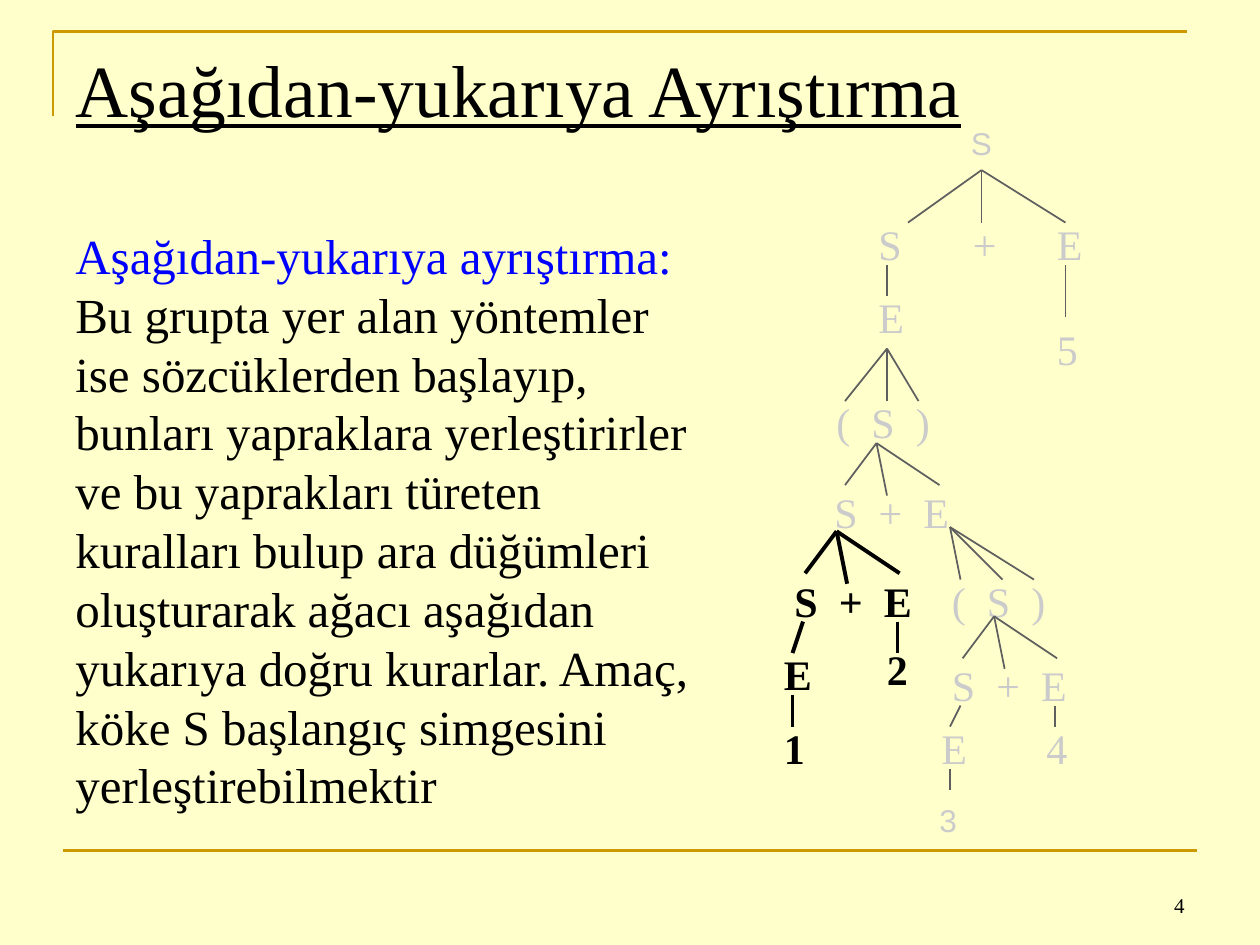
from lxml import etree
from pptx import Presentation
from pptx.dml.color import RGBColor
from pptx.enum.shapes import MSO_CONNECTOR
from pptx.enum.text import MSO_ANCHOR, MSO_AUTO_SIZE, PP_ALIGN
from pptx.oxml.ns import qn
from pptx.util import Inches, Pt

STRAIGHT = MSO_CONNECTOR.STRAIGHT
TOP, BOTTOM = MSO_ANCHOR.TOP, MSO_ANCHOR.BOTTOM
LEFT, RIGHT = PP_ALIGN.LEFT, PP_ALIGN.RIGHT
SERIF, SANS = "Times New Roman", "Arial"

COLOURS = {"paper": "FFFFCC", "rule": "CC9900", "ink": "000000",
           "term": "0000FF", "faded": "CBCBCB", "branch": "5F5F5F"}

TITLE = "Aşağıdan-yukarıya Ayrıştırma"
TERM = "Aşağıdan-yukarıya ayrıştırma: "
DEFINITION = (
    "Bu grupta yer alan yöntemler ise sözcüklerden başlayıp, bunları "
    "yapraklara yerleştirirler ve bu yaprakları türeten kuralları bulup ara "
    "düğümleri oluşturarak ağacı aşağıdan yukarıya doğru kurarlar. Amaç, köke "
    "S başlangıç simgesini yerleştirebilmektir")
PAGE = "4"

# The parse tree lies on a grid of twelfths of an inch.
CELL = 1 / 12
TREE_LEFT, TREE_TOP = 6.29, 1.35
WIDTHS = {"S": 0.38, "+": 0.39, "E": 0.42, "( S )": 0.94, "S + E": 1.15}
DIGIT_WIDTH = 0.36
WORD_GAP = 6  # extra points after each space in a node

# Nodes: text, column, row
ENDS = [("S", 15.8, -5), ("3", 12.8, 59.5)]
FADED_NODES = [
    ("S", 7, 4), ("+", 16, 4), ("E", 24, 4), ("E", 7, 11), ("5", 24, 14),
    ("( S )", 3, 21), ("S + E", 2.8, 29.5), ("( S )", 14, 38),
    ("S + E", 14, 46), ("E", 13, 52), ("4", 23, 52)]
BUILT_NODES = [("S + E", -1, 38), ("2", 7.8, 44.5), ("E", -2, 45), ("1", -2, 52)]

# Branches: start column, start row, steps to each child
SUM = [(-3, 4), (1, 5), (6, 4)]
FADED_BRANCHES = [
    (18, 0, [(-7, 5), (0, 5), (8, 5)]), (9, 9, [(0, 3)]), (26, 9, [(0, 5)]),
    (9, 17, [(-4, 5), (0, 5), (3, 5)]), (8, 26, SUM),
    (15, 34, [(1, 5), (5, 5), (8, 5)]), (19.2, 42.5, SUM),
    (16, 51, [(-1, 2)]), (25, 51, [(0, 2)]), (15, 57, [(0, 2)])]
BUILT_BRANCHES = [(4.2, 34.4, SUM), (1, 43, [(-1, 3)]), (10, 43, [(0, 3)]),
                  (0, 50, [(0, 3)])]


def colour(name):
    return RGBColor.from_string(COLOURS[name])


def add_run(paragraph, text, size, ink="ink", face=SERIF, bold=False):
    run = paragraph.add_run()
    run.text = text
    run.font.size, run.font.name, run.font.bold = Pt(size), face, bold
    run.font.color.rgb = colour(ink)
    return run


def add_box(slide, left, top, width, height, wrap=True):
    box = slide.shapes.add_textbox(*map(Inches, (left, top, width, height)))
    box.text_frame.word_wrap = wrap
    return box.text_frame


def add_line(slide, start, end, ink, weight):
    line = slide.shapes.add_connector(STRAIGHT, *map(Inches, (*start, *end)))
    line.line.color.rgb = colour(ink)
    line.line.width = Pt(weight)
    etree.SubElement(line._element.spPr, qn("a:effectLst"))


def grid(column, row):
    return TREE_LEFT + column * CELL, TREE_TOP + row * CELL


def add_nodes(slide, nodes, ink, size=24, face=SERIF, bold=False):
    for text, column, row in nodes:
        frame = add_box(slide, *grid(column, row),
                        WIDTHS.get(text, DIGIT_WIDTH), size / 60 + 0.1, wrap=False)
        frame.auto_size = MSO_AUTO_SIZE.SHAPE_TO_FIT_TEXT
        for index, symbol in enumerate(text.split()):
            if index:
                space = add_run(frame.paragraphs[0], " ", size, ink, face, bold)
                space.font._element.set("spc", str(WORD_GAP * 100))
            add_run(frame.paragraphs[0], symbol, size, ink, face, bold)


def add_branches(slide, branches, ink, weight):
    for column, row, steps in branches:
        for across, down in steps:
            add_line(slide, grid(column, row), grid(column + across, row + down),
                     ink, weight)


def add_frame(slide):
    """Draw the corner above the title and the rule above the page number."""
    builder = slide.shapes.build_freeform(Inches(0.42), Inches(0.92))
    builder.add_line_segments(
        [(Inches(0.42), Inches(0.25)), (Inches(9.42), Inches(0.25))], close=False)
    corner = builder.convert_to_shape()
    corner.shadow.inherit = False
    corner.fill.background()
    corner.line.color.rgb = colour("rule")
    corner.line.width = Pt(1.5)
    add_line(slide, (0.5, 6.75), (9.5, 6.75), "rule", 1.5)


def add_title(slide):
    title = slide.shapes.title
    title.left, title.top, title.width, title.height = map(
        Inches, (0.5, 0.3, 9, 1.25))
    frame = title.text_frame
    frame.vertical_anchor = TOP
    frame.paragraphs[0].alignment = LEFT
    add_run(frame.paragraphs[0], TITLE, 42).font.underline = True


def main():
    deck = Presentation()
    deck.slide_width, deck.slide_height = Inches(10), Inches(7.5)
    slide = deck.slides.add_slide(deck.slide_layouts[5])
    slide.background.fill.solid()
    slide.background.fill.fore_color.rgb = colour("paper")

    add_frame(slide)
    add_title(slide)

    definition = add_box(slide, 0.5, 1.74, 5.18, 4.8).paragraphs[0]
    add_run(definition, TERM, 28, "term")
    add_run(definition, DEFINITION, 28)

    add_nodes(slide, FADED_NODES, "faded")
    add_nodes(slide, ENDS, "faded", size=18, face=SANS)
    add_nodes(slide, BUILT_NODES, "ink", bold=True)
    add_branches(slide, FADED_BRANCHES, "branch", 1)
    add_branches(slide, BUILT_BRANCHES, "ink", 2.25)

    page = add_box(slide, 7.17, 6.83, 2.33, 0.5)
    page.vertical_anchor = BOTTOM
    page.paragraphs[0].alignment = RIGHT
    add_run(page.paragraphs[0], PAGE, 12)

    deck.save("out.pptx")


if __name__ == "__main__":
    main()
